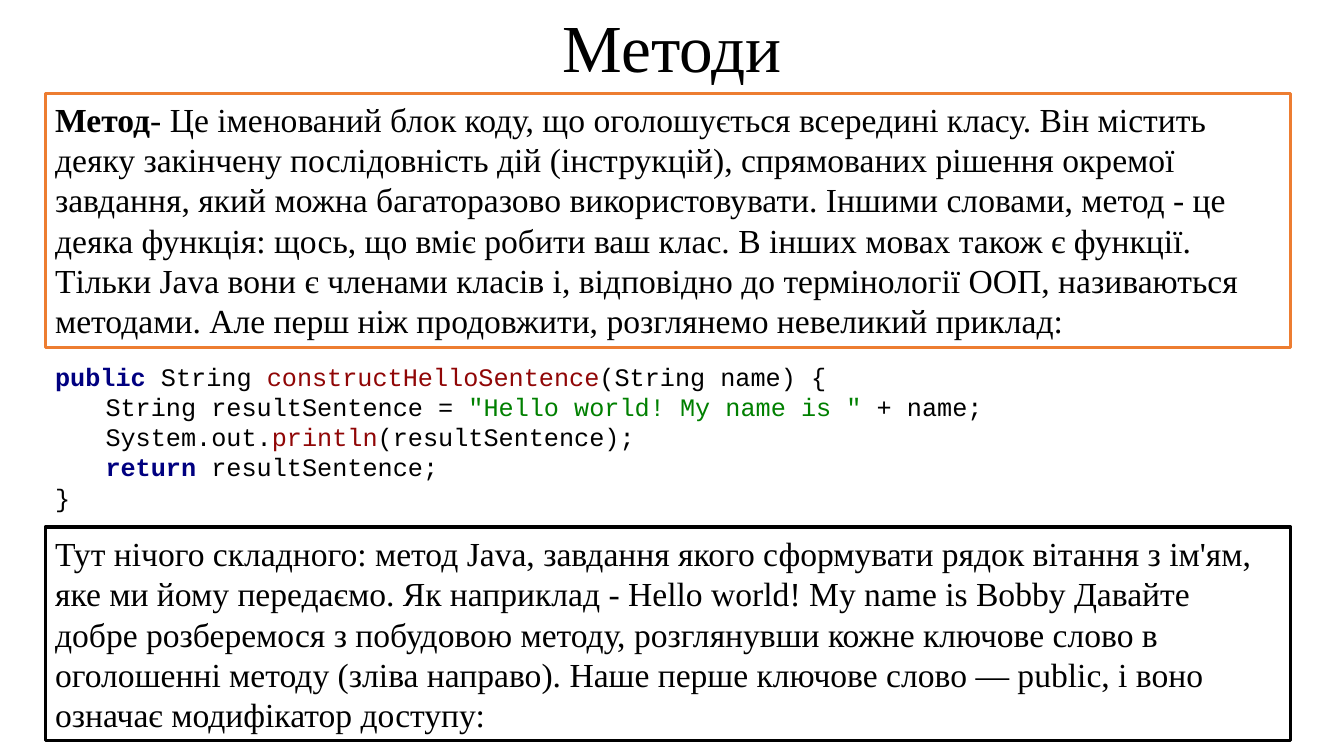
"""Build a slide that introduces methods in Java."""
import pptx
import pptx.dml.color
import pptx.enum.shapes
import pptx.enum.text
import pptx.util
from pptx.util import Cm

COLORS = {
    "text": "000000",
    "accent": "ED7D31",
    "keyword": "000080",
    "method": "900606",
    "string": "008000",
}
SERIF = "Times New Roman"
MONO = "Courier New"
LEFT = Cm(1.14)
BOX_WIDTH = Cm(31.39)

DEFINITION = [[
    ("Метод", "text", True),
    ("- Це іменований блок коду, що оголошується всередині класу. Він містить "
     "деяку закінчену послідовність дій (інструкцій), спрямованих рішення окремої "
     "завдання, який можна багаторазово використовувати. Іншими словами, метод - це "
     "деяка функція: щось, що вміє робити ваш клас. В інших мовах також є функції. "
     "Тільки Java вони є членами класів і, відповідно до термінології ООП, називаються "
     "методами. Але перш ніж продовжити, розглянемо невеликий приклад:", "text", False),
]]
CODE = [
    [("public", "keyword", True), (" String ", "text", False),
     ("constructHelloSentence", "method", False), ("(String name) {", "text", False)],
    [("\tString resultSentence = ", "text", False),
     ('"Hello world! My name is "', "string", False), (" + name;", "text", False)],
    [("\tSystem.out.", "text", False), ("println", "method", False),
     ("(resultSentence);", "text", False)],
    [("\t", "text", False), ("return ", "keyword", True),
     ("resultSentence;", "text", False)],
    [("}", "text", False)],
]
EXPLANATION = [[
    ("Тут нічого складного: метод Java, завдання якого сформувати рядок вітання з ім'ям, "
     "яке ми йому передаємо. Як наприклад - Hello world! My name is Bobby Давайте "
     "добре розберемося з побудовою методу, розглянувши кожне ключове слово в "
     "оголошенні методу (зліва направо). Наше перше ключове слово — public, і воно "
     "означає модифікатор доступу:", "text", False),
]]


def rgb(name):
    return pptx.dml.color.RGBColor.from_string(COLORS[name])


def write_text(shape, lines, font_name, size, alignment="LEFT", anchor="TOP"):
    text_frame = shape.text_frame
    text_frame.word_wrap = True
    text_frame.auto_size = pptx.enum.text.MSO_AUTO_SIZE.SHAPE_TO_FIT_TEXT
    text_frame.vertical_anchor = pptx.enum.text.MSO_ANCHOR[anchor]
    for index, line in enumerate(lines):
        paragraph = text_frame.add_paragraph() if index else text_frame.paragraphs[0]
        paragraph.alignment = pptx.enum.text.PP_ALIGN[alignment]
        for text, color, bold in line:
            run = paragraph.add_run()
            run.text = text
            run.font.name = font_name
            run.font.size = pptx.util.Pt(size)
            run.font.bold = bold
            run.font.color.rgb = rgb(color)


def add_text(slide, left, top, width, height, lines, font_name, size, alignment="LEFT"):
    shape = slide.shapes.add_textbox(left, top, width, height)
    write_text(shape, lines, font_name, size, alignment)


def add_framed_text(slide, top, height, lines, line_color, anchor="TOP"):
    shape = slide.shapes.add_shape(
        pptx.enum.shapes.MSO_SHAPE.RECTANGLE, LEFT, top, BOX_WIDTH, height)
    shape.shadow.inherit = False
    shape.fill.background()
    shape.line.color.rgb = rgb(line_color)
    shape.line.width = pptx.util.Pt(2.25)
    write_text(shape, lines, SERIF, 24, anchor=anchor)


def main():
    presentation = pptx.Presentation()
    presentation.slide_width = Cm(33.87)
    presentation.slide_height = Cm(19.05)
    slide = presentation.slides.add_slide(presentation.slide_layouts[6])
    add_framed_text(slide, Cm(2.36), Cm(6.4), DEFINITION, "accent")
    add_text(slide, 0, 0, presentation.slide_width, Cm(2.31),
             [[("Методи", "text", False)]], SERIF, 48, "CENTER")
    add_text(slide, LEFT, Cm(8.97), Cm(25.68), Cm(4.11), CODE, MONO, 18)
    add_framed_text(slide, Cm(13.28), Cm(5.38), EXPLANATION, "text", "MIDDLE")
    presentation.save("out.pptx")


if __name__ == "__main__":
    main()
